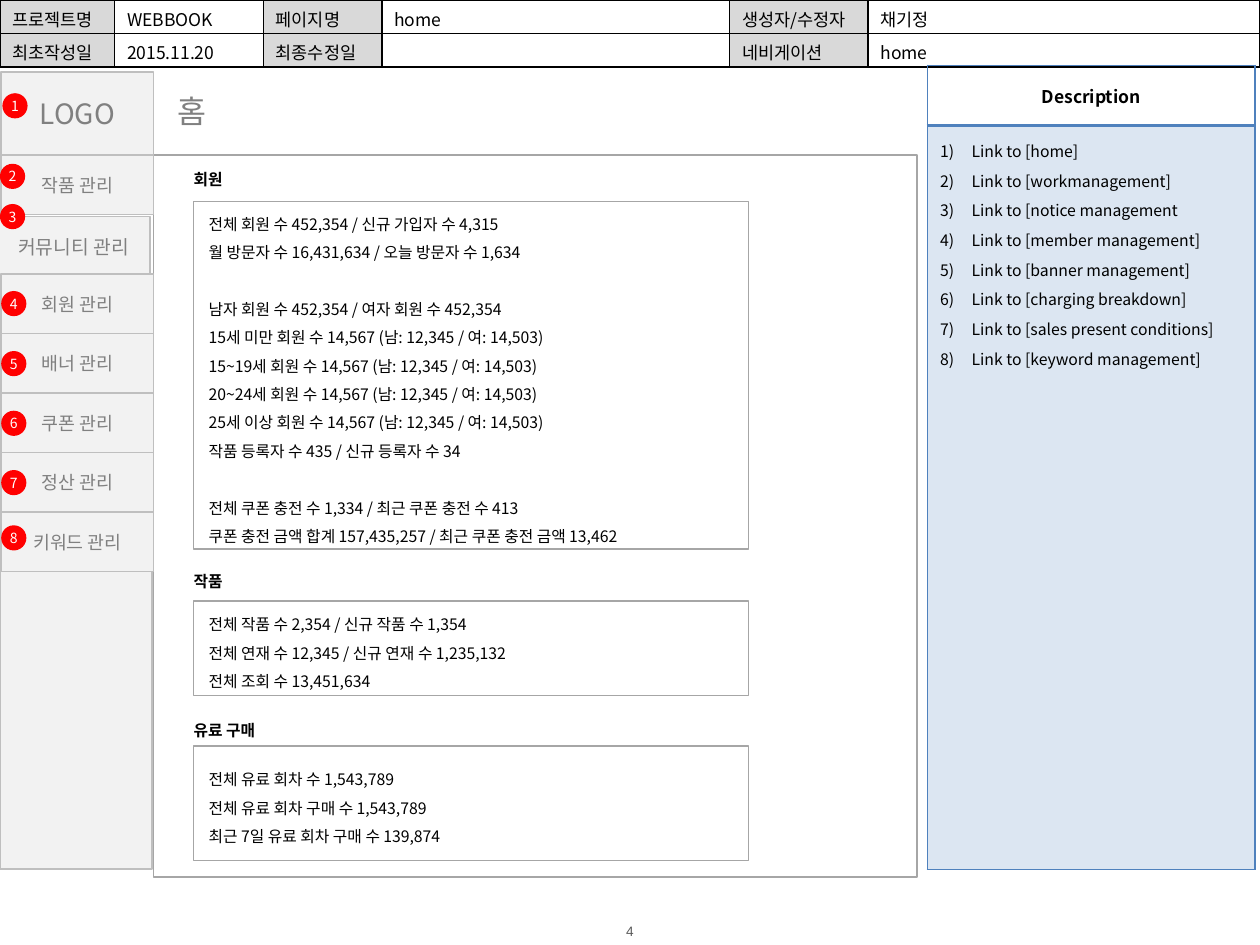
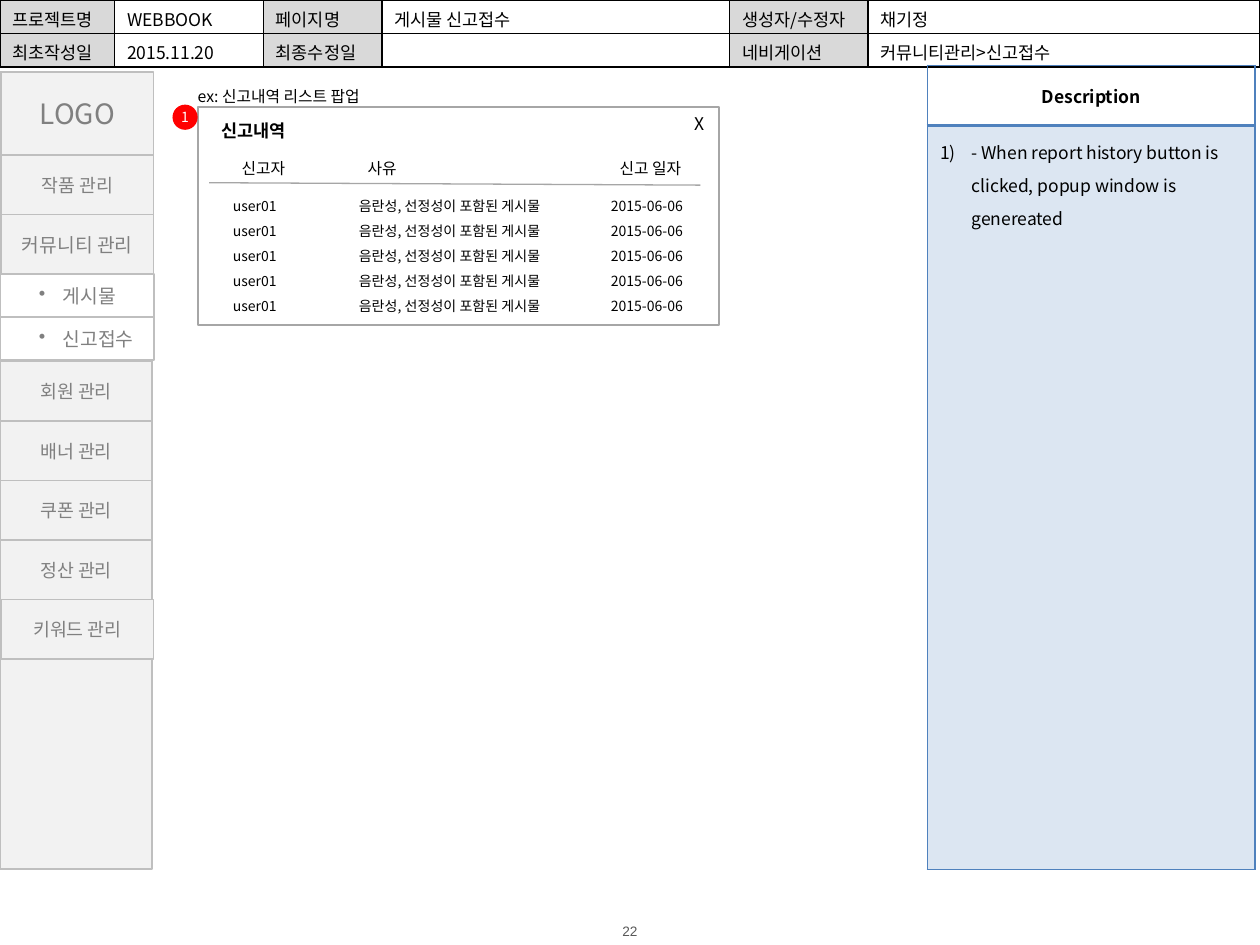
from lxml import etree
from pptx import Presentation
from pptx.dml.color import RGBColor
from pptx.enum.shapes import MSO_CONNECTOR, MSO_SHAPE
from pptx.enum.text import MSO_ANCHOR, PP_ALIGN
from pptx.oxml.ns import qn
from pptx.util import Pt

RECT, OVAL = MSO_SHAPE.RECTANGLE, MSO_SHAPE.OVAL
STRAIGHT = MSO_CONNECTOR.STRAIGHT
TOP, MIDDLE = MSO_ANCHOR.TOP, MSO_ANCHOR.MIDDLE
LEFT, CENTER = PP_ALIGN.LEFT, PP_ALIGN.CENTER

FONT, FOOTER_FONT = "Noto Sans CJK KR", "Arial"
BLACK, WHITE, RED, BLUE = "000000", "FFFFFF", "FF0000", "4F81BD"
PALE_BLUE, LABEL_GRAY, MENU_FILL = "DCE6F2", "D9D9D9", "F2F2F2"
MENU_LINE, FRAME_LINE, MENU_TEXT, PAGE_TEXT = "BFBFBF", "A6A6A6", "808080", "595959"

MENU = ["작품 관리", "커뮤니티 관리", "회원 관리", "배너 관리", "쿠폰 관리", "정산 관리", "키워드 관리"]
SUBMENU = ["게시물", "신고접수"]

HOME = {
    "page": "4", "name": "home", "navigation": "home",
    "description": [f"Link to {target}" for target in (
        "[home]", "[workmanagement]", "[notice management", "[member management]",
        "[banner management]", "[charging breakdown]", "[sales present conditions]",
        "[keyword management]")],
    "description_size": 9,
}
REPORTS = {
    "page": "22", "name": "게시물 신고접수", "navigation": "커뮤니티관리>신고접수",
    "description": ["- When report history button is clicked, popup window is genereated"],
    "description_size": 10,
}

# heading, heading top, frame top, frame height, groups of lines
STATISTICS = [
    ("회원", 94.3, 115.2, 198.7, [
        ["전체 회원 수 452,354 / 신규 가입자 수 4,315",
         "월 방문자 수 16,431,634 / 오늘 방문자 수 1,634"],
        ["남자 회원 수 452,354 / 여자 회원 수 452,354",
         "15세 미만 회원 수 14,567 (남: 12,345 / 여: 14,503)",
         "15~19세 회원 수 14,567 (남: 12,345 / 여: 14,503)",
         "20~24세 회원 수 14,567 (남: 12,345 / 여: 14,503)",
         "25세 이상 회원 수 14,567 (남: 12,345 / 여: 14,503)",
         "작품 등록자 수 435 / 신규 등록자 수 34"],
        ["전체 쿠폰 충전 수 1,334 / 최근 쿠폰 충전 수 413",
         "쿠폰 충전 금액 합계 157,435,257 / 최근 쿠폰 충전 금액 13,462"]]),
    ("작품", 324, 343.4, 54, [
        ["전체 작품 수 2,354 / 신규 작품 수 1,354",
         "전체 연재 수 12,345 / 신규 연재 수 1,235,132",
         "전체 조회 수 13,451,634"]]),
    ("유료 구매", 409, 426.2, 65.5, [
        ["전체 유료 회차 수 1,543,789",
         "전체 유료 회차 구매 수 1,543,789",
         "최근 7일 유료 회차 구매 수 139,874"]]),
]
HOME_MARKERS = [(1.4, 53.3), (0, 93.6), (0, 116.6), (0.7, 166.3), (0.7, 200.6),
                (0.7, 234.7), (0.7, 268.6), (0.7, 300.2)]

REPORT_HEADER = ("신고자", "사유", "신고 일자")
REPORT_ROWS = [("user01", "음란성, 선정성이 포함된 게시물", "2015-06-06")] * 5
REPORT_TABS = (72, 216)

HEADER_COLUMNS = (65.5, 85, 67.7, 198.7, 79.2, 223.9)
HEADER_ROW = 19.1
DESCRIPTION_ROWS = (34.6, 424.8)
MENU_LEFT, MENU_WIDTH, LOGO_TOP, LOGO_HEIGHT = 0.7, 87, 41, 47.6
MENU_TOP, MENU_STEP, SIDE_BOTTOM = LOGO_TOP + LOGO_HEIGHT, 34, 496.5
SUBMENU_STEP, SUBMENU_SHIFT = 24.6, 50
MARKER_SIZE = 14.4
STAT_LINE, REPORT_LINE = 16.2, 14.3
NO_INSETS, DEFAULT_INSETS = (0, 0, 0, 0), (7.2, 3.6, 7.2, 3.6)


def rgb(value):
    return RGBColor.from_string(value)


def add_xml(parent, tag, **attributes):
    return etree.SubElement(parent, qn(tag), attributes)


def write(frame, lines, size, color=BLACK, bold=False, align=LEFT, spacing=None,
          font=FONT, bullet=None, indent=0, tabs=()):
    """Fill a text frame; bullet is a tag with its attributes."""
    frame.text = lines if isinstance(lines, str) else "\n".join(lines)
    for paragraph in frame.paragraphs:
        paragraph.alignment = align
        if spacing:
            paragraph.line_spacing = spacing
        properties = paragraph._p.get_or_add_pPr()
        if bullet:
            properties.set("marL", str(Pt(indent)))
            properties.set("indent", str(-Pt(indent)))
            add_xml(properties, bullet[0], **bullet[1])
        if tabs:
            stops = add_xml(properties, "a:tabLst")
            for stop in tabs:
                add_xml(stops, "a:tab", pos=str(Pt(stop)), algn="l")
        if not paragraph.runs:
            add_xml(paragraph._p, "a:endParaRPr", sz=str(size * 100))
        for run in paragraph.runs:
            run.font.size, run.font.bold, run.font.name = Pt(size), bold, font
            run.font.color.rgb = rgb(color)
            add_xml(run._r.get_or_add_rPr(), "a:ea", typeface=font)


def set_frame(frame, anchor, insets, wrap=True):
    frame.word_wrap, frame.vertical_anchor = wrap, anchor
    (frame.margin_left, frame.margin_top,
     frame.margin_right, frame.margin_bottom) = map(Pt, insets)


def add_box(slide, place, fill=None, line=None, width=1, kind=RECT, insets=DEFAULT_INSETS):
    box = slide.shapes.add_shape(kind, *map(Pt, place))
    box.shadow.inherit = False
    if fill:
        box.fill.solid()
        box.fill.fore_color.rgb = rgb(fill)
    else:
        box.fill.background()
    if line:
        box.line.color.rgb, box.line.width = rgb(line), Pt(width)
    else:
        box.line.fill.background()
    set_frame(box.text_frame, MIDDLE, insets)
    return box.text_frame


def add_label(slide, place, lines, size, anchor=TOP, insets=DEFAULT_INSETS, wrap=True, **style):
    label = slide.shapes.add_textbox(*map(Pt, place))
    set_frame(label.text_frame, anchor, insets, wrap)
    write(label.text_frame, lines, size, **style)


def add_grid(slide, left, top, columns, rows):
    grid = slide.shapes.add_table(len(rows), len(columns), Pt(left), Pt(top),
                                  Pt(sum(columns)), Pt(sum(rows))).table
    grid.first_row = grid.horz_banding = False
    for column, width in zip(grid.columns, columns):
        column.width = Pt(width)
    for row, height in zip(grid.rows, rows):
        row.height = Pt(height)
    return grid


def paint_cell(cell, fill, border, bottom=1):
    if fill:
        cell.fill.solid()
        cell.fill.fore_color.rgb = rgb(fill)
    else:
        cell.fill.background()
    properties = cell._tc.get_or_add_tcPr()
    for position, side in enumerate("LRTB"):
        width = bottom if side == "B" else 1
        edge = etree.Element(qn(f"a:ln{side}"), w=str(Pt(width)))
        add_xml(add_xml(edge, "a:solidFill"), "a:srgbClr", val=border)
        properties.insert(position, edge)


def add_header(slide, page):
    rows = [("프로젝트명", "WEBBOOK", "페이지명", page["name"], "생성자/수정자", "채기정"),
            ("최초작성일", "2015.11.20", "최종수정일", "", "네비게이션", page["navigation"])]
    grid = add_grid(slide, 0, 0, HEADER_COLUMNS, [HEADER_ROW] * len(rows))
    for r, row in enumerate(rows):
        for c, text in enumerate(row):
            cell = grid.cell(r, c)
            cell.margin_top, cell.margin_bottom, cell.margin_right = Pt(3.6), Pt(0.9), 0
            write(cell.text_frame, text, 10)
            paint_cell(cell, None if c % 2 else LABEL_GRAY, BLACK)


def add_description(slide, page):
    grid = add_grid(slide, 530, 37.4, [187.2], DESCRIPTION_ROWS)
    title, body = grid.cell(0, 0), grid.cell(1, 0)
    title.vertical_anchor = MIDDLE
    write(title.text_frame, "Description", 10, bold=True, align=CENTER)
    paint_cell(title, None, BLUE, bottom=2)
    write(body.text_frame, page["description"], page["description_size"], spacing=1.3,
          bullet=("a:buAutoNum", {"type": "arabicParenR"}), indent=18)
    paint_cell(body, PALE_BLUE, BLUE)


def add_menu_box(slide, text, left, top, height, size):
    frame = add_box(slide, (left, top, MENU_WIDTH, height), MENU_FILL, MENU_LINE)
    write(frame, text, size, MENU_TEXT, align=CENTER)


def add_menu(slide, panel_top, nudges, submenu=()):
    """Draw the side menu; nudges maps an item to its left and top shift."""
    add_box(slide, (0, panel_top, MENU_WIDTH, SIDE_BOTTOM - panel_top), MENU_FILL, MENU_LINE)
    add_menu_box(slide, "LOGO", MENU_LEFT, LOGO_TOP, LOGO_HEIGHT, 16)
    for i, item in enumerate(MENU):
        dx, dy = nudges.get(item, (0, 0))
        shift = SUBMENU_SHIFT if submenu and i > 1 else 0
        add_menu_box(slide, item, MENU_LEFT + dx, MENU_TOP + i * MENU_STEP + shift + dy,
                     MENU_STEP, 11 if i == 1 else 10.5)
    for i, item in enumerate(submenu):
        top = MENU_TOP + 2 * MENU_STEP + i * SUBMENU_STEP
        frame = add_box(slide, (0, top, 88, SUBMENU_STEP), WHITE, MENU_LINE,
                        insets=(22.3, 3.6, 7.2, 3.6))
        write(frame, item, 11, MENU_TEXT, bullet=("a:buChar", {"char": "•"}), indent=13.5)


def add_markers(slide, places):
    for number, (left, top) in enumerate(places, 1):
        frame = add_box(slide, (left, top, MARKER_SIZE, MARKER_SIZE), RED,
                        kind=OVAL, insets=NO_INSETS)
        write(frame, str(number), 8, WHITE, align=CENTER)


def start_slide(deck, page):
    slide = deck.slides.add_slide(deck.slide_layouts[6])
    add_label(slide, (329, 527, 62, 10), page["page"], 7.8, anchor=MIDDLE, insets=NO_INSETS,
              font=FOOTER_FONT, color=PAGE_TEXT, align=CENTER)
    add_header(slide, page)
    add_description(slide, page)
    return slide


def build_home(deck):
    slide = start_slide(deck, HOME)
    add_label(slide, (94.3, 49, 32.4, 28.8), "홈", 18, wrap=False, color=MENU_TEXT)
    add_box(slide, (87.8, 88.6, 436.3, 412.6), line=FRAME_LINE, width=0.75)
    add_menu(slide, 292.3, {"커뮤니티 관리": (-2.1, 1.2)})
    for heading, heading_top, top, height, groups in STATISTICS:
        frame = add_box(slide, (110.6, top, 317.2, height), WHITE, FRAME_LINE,
                        insets=(8.6, 0, 8.6, 0))
        write(frame, [line for group in groups for line in group], 9, spacing=Pt(STAT_LINE))
        group_start = 0
        for group in groups[:-1]:
            group_start += len(group)
            frame.paragraphs[group_start].space_before = Pt(STAT_LINE)
        add_label(slide, (110.6, heading_top, 57.6, 16.6), heading, 9, anchor=MIDDLE,
                  insets=(0, 2.9, 0, 2.9), bold=True)
    add_markers(slide, HOME_MARKERS)


def build_reports(deck):
    slide = start_slide(deck, REPORTS)
    caption = add_box(slide, (113, 49, 122.4, 12.2), WHITE, insets=NO_INSETS)
    write(caption, "ex: 신고내역 리스트 팝업", 9)
    add_box(slide, (113, 61.2, 298, 124.6), WHITE, FRAME_LINE)
    add_label(slide, (119.5, 64.8, 141, 19.4), "신고내역", 10, bold=True)
    add_label(slide, (389.5, 61.2, 20.9, 19.4), "X", 10, wrap=False)
    add_label(slide, (126, 104.4, 280, 80), ["\t".join(row) for row in REPORT_ROWS], 8,
              spacing=Pt(REPORT_LINE), tabs=REPORT_TABS)
    add_label(slide, (131, 87.1, 269.3, 18), "\t".join(REPORT_HEADER), 9, tabs=REPORT_TABS)
    rule = slide.shapes.add_connector(STRAIGHT, *map(Pt, (119.5, 104.4, 400.3, 105.8)))
    rule.line.color.rgb, rule.line.width = rgb(FRAME_LINE), Pt(0.75)
    add_xml(rule._element.spPr, "a:effectLst")
    add_menu(slide, LOGO_TOP, {item: (-MENU_LEFT, 0) for item in MENU[2:6]}, SUBMENU)
    add_markers(slide, [(98.6, 59.8)])


def main():
    deck = Presentation()
    deck.slide_width, deck.slide_height = Pt(720), Pt(540)
    build_home(deck)
    build_reports(deck)
    deck.save("out.pptx")


if __name__ == "__main__":
    main()
